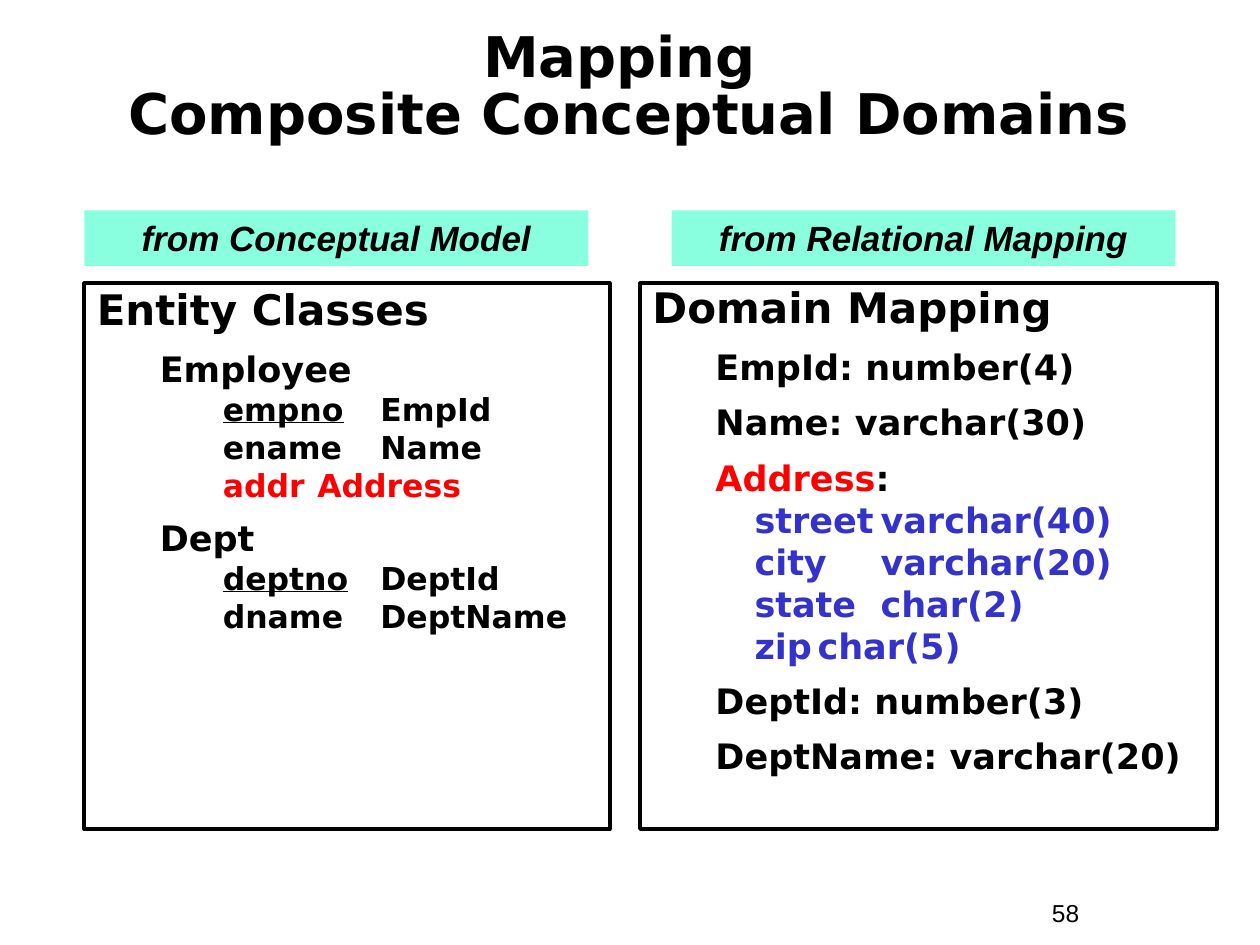
from pptx import Presentation
from pptx.dml.color import RGBColor
from pptx.enum.shapes import MSO_SHAPE as Shape
from pptx.enum.text import MSO_ANCHOR as Anchor, MSO_AUTO_SIZE as AutoSize, PP_ALIGN as Align
from pptx.util import Inches, Pt

BLACK, RED, BLUE, MINT = "000000", "FF0000", "3333CC", "89FFE0"
HEADING_FONT, LABEL_FONT = "DejaVu Sans", "Arial"
# Outline level: left margin and first-line indent in inches
INDENTS = [(0.38, -0.38), (0.81, -0.31), (1.25, -0.25)]


def color(value):
    return RGBColor.from_string(value)


class SlideBuilder:
    """Holds the current slide and the shared text style."""

    def __init__(self, page):
        self.page = page

    def style(self, span, size, font=HEADING_FONT, tint=BLACK, bold=True, italic=False):
        span.font.name = font
        span.font.size = Pt(size)
        span.font.bold = bold
        span.font.italic = italic
        span.font.color.rgb = color(tint)

    def title(self, text, left, top, width, height):
        box = self.page.shapes.title
        box.left, box.top, box.width, box.height = map(Inches, (left, top, width, height))
        frame = box.text_frame
        frame.text = text
        frame.auto_size = AutoSize.NONE
        frame.vertical_anchor = Anchor.MIDDLE
        para = frame.paragraphs[0]
        para.alignment = Align.CENTER
        para.line_spacing = 0.85
        for span in para.runs:
            self.style(span, 32)

    def rectangle(self, left, top, width, height, fill=None, line=None):
        box = self.page.shapes.add_shape(
            Shape.RECTANGLE, *map(Inches, (left, top, width, height)))
        box.shadow.inherit = False
        if fill:
            box.fill.solid()
            box.fill.fore_color.rgb = color(fill)
        else:
            box.fill.background()
        if line:
            box.line.color.rgb = color(line)
            box.line.width = Pt(2.25)
        else:
            box.line.fill.background()
        box.text_frame.word_wrap = True
        box.text_frame.vertical_anchor = Anchor.TOP
        return box

    def label(self, text, left):
        box = self.rectangle(left, 1.67, 4, 0.44, fill=MINT)
        box.text_frame.text = text
        para = box.text_frame.paragraphs[0]
        para.alignment = Align.CENTER
        self.style(para.runs[0], 20, LABEL_FONT, italic=True)

    def panel(self, left, width, rows, sizes, spacings):
        """Rows are (level, space before, [(text, colour, underlined), ...])."""
        frame = self.rectangle(left, 2.25, width, 4.33, line=BLACK).text_frame
        for index, (level, before, spans) in enumerate(rows):
            para = frame.add_paragraph() if index else frame.paragraphs[0]
            para.level = level
            para.alignment = Align.LEFT
            para.space_before = Pt(before)
            para.line_spacing = spacings[level]
            margin, indent = INDENTS[level]
            properties = para._p.get_or_add_pPr()
            properties.set("marL", str(Inches(margin)))
            properties.set("indent", str(Inches(indent)))
            for text, tint, underlined in spans:
                span = para.add_run()
                span.text = text
                self.style(span, sizes[level], tint=tint)
                span.font.underline = underlined

    def page_number(self, text):
        box = self.page.shapes.add_textbox(*map(Inches, (8.25, 7.08, 0.92, 0.34)))
        box.text_frame.word_wrap = True
        box.text_frame.text = text
        self.style(box.text_frame.paragraphs[0].runs[0], 14, LABEL_FONT, bold=False)


def row(level, before, text, tint=BLACK):
    return level, before, [(text, tint, False)]


def entity(name, key, attributes):
    """Rows for an entity class with its underlined key attribute."""
    key_name, key_domain = key
    rows = [row(1, 10, name),
            (2, 2.2, [(key_name, BLACK, True), (f"\t{key_domain}", BLACK, False)])]
    return rows + [row(2, 2.2, f"{attribute}\t{domain}", tint)
                   for attribute, domain, tint in attributes]


def main():
    deck = Presentation()
    deck.slide_width, deck.slide_height = Inches(10), Inches(7.5)
    builder = SlideBuilder(deck.slides.add_slide(deck.slide_layouts[5]))

    builder.title("Mapping \vComposite Conceptual Domains", 0.33, 0.33, 9.33, 0.75)

    address_parts = [("street", "varchar(40)"), ("city", "varchar(20)"),
                     ("state", "char(2)"), ("zip", "char(5)")]
    domains = [
        row(0, 0, "Domain Mapping"),
        row(1, 7.5, "EmpId: number(4)"),
        row(1, 7.5, "Name: varchar(30)"),
        (1, 7.5, [("Address", RED, False), (":", BLACK, False)]),
        *[row(1, 0, f"\t{part}\t{kind}", BLUE) for part, kind in address_parts],
        row(1, 7.5, "DeptId: number(3)"),
        row(1, 7.5, "DeptName: varchar(20)"),
    ]
    builder.panel(5.08, 4.58, domains, sizes=(24, 20), spacings=(0.85, 1.0))

    entities = [
        row(0, 0, "Entity Classes"),
        *entity("Employee", ("empno", "EmpId"),
                [("ename", "Name", BLACK), ("addr", "Address", RED)]),
        *entity("Dept", ("deptno", "DeptId"), [("dname", "DeptName", BLACK)]),
    ]
    builder.panel(0.67, 4.17, entities, sizes=(24, 20, 18), spacings=(0.9, 0.9, 0.9))

    builder.label("from Conceptual Model", 0.67)
    builder.label("from Relational Mapping", 5.33)
    builder.page_number("58")
    deck.save("out.pptx")


if __name__ == "__main__":
    main()
